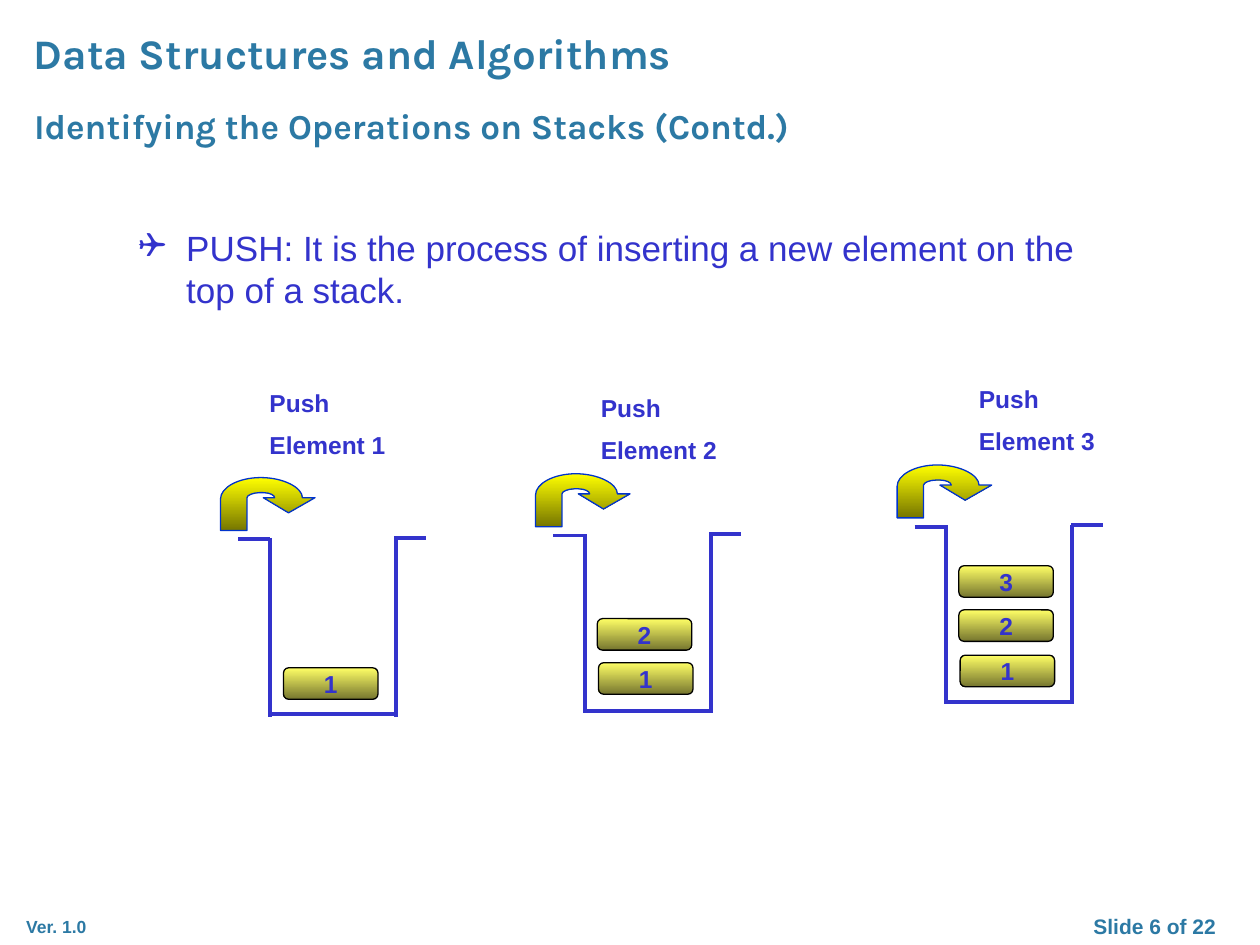
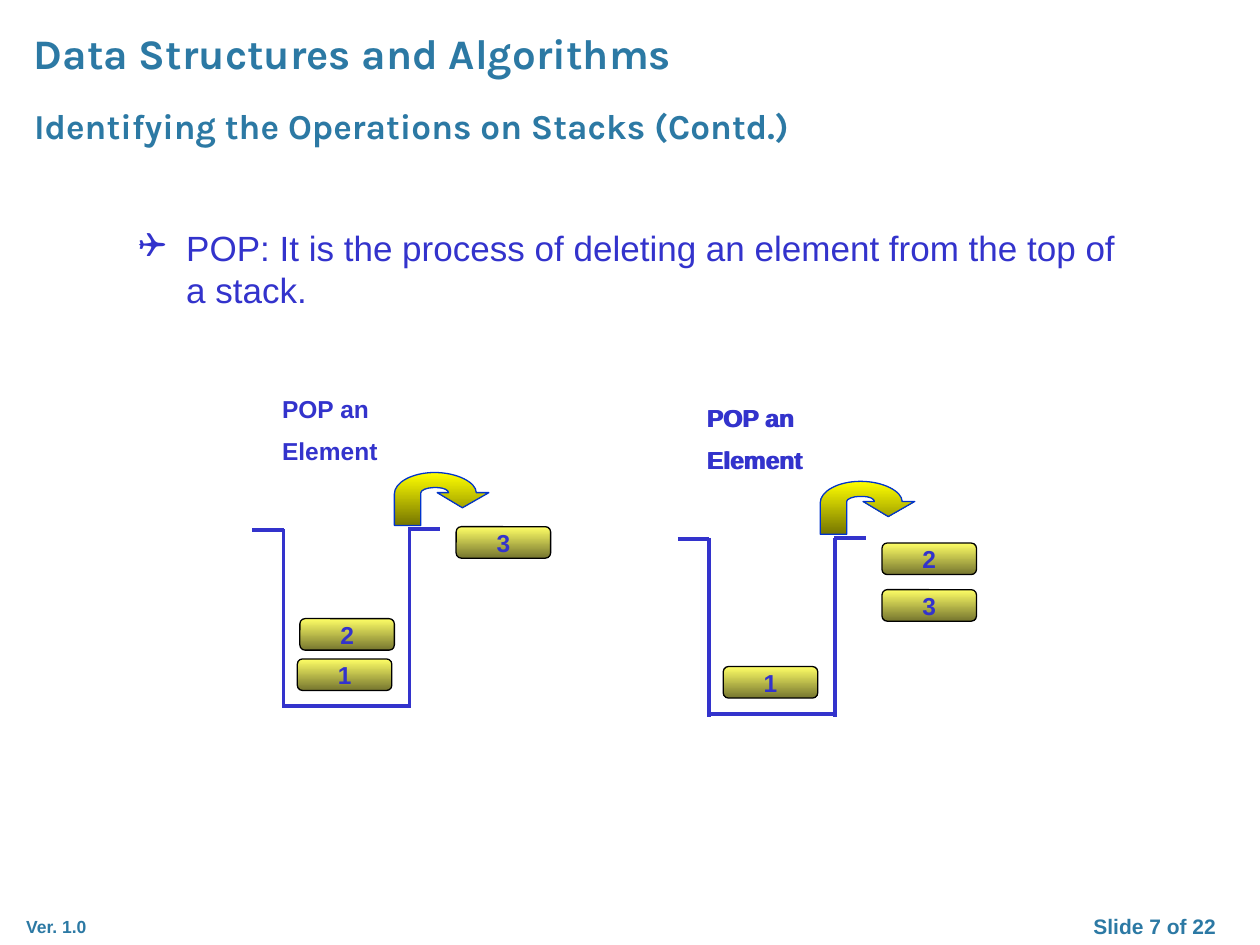
from lxml import etree
from pptx import Presentation
from pptx.dml.color import RGBColor
from pptx.enum.shapes import MSO_CONNECTOR, MSO_SHAPE
from pptx.enum.text import MSO_ANCHOR, MSO_AUTO_SIZE, PP_ALIGN
from pptx.oxml.ns import qn
from pptx.util import Inches, Pt

LEFT, CENTER = PP_ALIGN.LEFT, PP_ALIGN.CENTER
TOP, MIDDLE = MSO_ANCHOR.TOP, MSO_ANCHOR.MIDDLE
STRAIGHT = MSO_CONNECTOR.STRAIGHT
ROUNDED = MSO_SHAPE.ROUNDED_RECTANGLE
NO_FIT, GROW = MSO_AUTO_SIZE.NONE, MSO_AUTO_SIZE.SHAPE_TO_FIT_TEXT

TEAL, BLUE = "2C79A4", "3333CC"
ELEMENT_GRADIENT = ("FFFF66", "76762F")
ARROW_GRADIENT = ("FFFF00", "767600")
ELEMENT_LINE, ARROW_LINE = "000000", "0033CC"

COURSE = "Data Structures and Algorithms"
TITLE = "Identifying the Operations on Stacks (Contd.)"
VERSION = "Ver. 1.0"
SLIDE_TOTAL = 22
PUSH_LABEL = "Push\nElement {}"
POP_LABEL = "POP an\nElement"

# stack: left and top of its left wall; labels: text, left, top;
# elements: number, left, top
SLIDES = [
    {
        "number": 6,
        "definition": "PUSH: It is the process of inserting a new element on the top of a stack.",
        "arrow_offset": (-0.39, -0.48),
        "steps": [
            {"stack": (2.14, 4.27), "labels": [(PUSH_LABEL.format(1), 2.04, 3.03)],
             "elements": [("1", 2.25, 5.3)]},
            {"stack": (4.64, 4.24), "labels": [(PUSH_LABEL.format(2), 4.67, 3.07)],
             "elements": [("1", 4.75, 5.26), ("2", 4.74, 4.91)]},
            {"stack": (7.51, 4.17), "labels": [(PUSH_LABEL.format(3), 7.67, 3)],
             "elements": [("1", 7.62, 5.2), ("2", 7.61, 4.84), ("3", 7.61, 4.49)]},
        ],
    },
    {
        "number": 7,
        "definition": "POP: It is the process of deleting an element from the top of a stack.",
        "arrow_offset": (0.88, -0.45),
        "steps": [
            {"stack": (2.25, 4.2), "labels": [(POP_LABEL, 2.14, 3.08)],
             "elements": [("1", 2.36, 5.23), ("2", 2.38, 4.91), ("3", 3.62, 4.18)]},
            {"stack": (5.63, 4.27),
             "labels": [(POP_LABEL, 5.52, 3.15), (POP_LABEL, 5.51, 3.15)],
             "elements": [("1", 5.74, 5.29), ("3", 7, 4.68), ("2", 7, 4.31)]},
        ],
    },
]

# Lines of a stack, relative to the top of its left wall
STACK_LINES = [
    (-0.25, 0.01, 0, 0.01),
    (0, 0, 0, 1.42),
    (0.01, 1.4, 1.01, 1.4),
    (1, 0, 1, 1.42),
    (0.99, 0, 1.24, 0),
]

# Arrow outline: one point is a line end, three are a Bezier curve
ARROW_START = (0.54, 0.28)
ARROW_OUTLINE = [
    [(0.75, 0.16)],
    [(0.65, 0.16)],
    [(0.65, 0.08), (0.5, 0), (0.32, 0)],
    [(0.14, 0), (0, 0.08), (0, 0.17)],
    [(0, 0.42)],
    [(0.21, 0.42)],
    [(0.21, 0.16)],
    [(0.21, 0.14), (0.26, 0.12), (0.31, 0.12)],
    [(0.34, 0.12)],
    [(0.39, 0.12), (0.43, 0.14), (0.43, 0.16)],
    [(0.34, 0.16)],
    [ARROW_START],
]


def rgb(color):
    return RGBColor.from_string(color)


def set_text(shape, text, size, color, font="Arial", bold=True, align=LEFT,
             anchor=TOP, fit=NO_FIT):
    tf = shape.text_frame
    tf.text = text
    tf.word_wrap = True
    tf.auto_size = fit
    tf.vertical_anchor = anchor
    for i, p in enumerate(tf.paragraphs):
        p.alignment = align
        p.space_before = Pt(size / 2 if i else 0)
        for r in p.runs:
            r.font.name = font
            r.font.size = Pt(size)
            r.font.bold = bold
            r.font.color.rgb = rgb(color)


def add_text(s, box, text, size, color, fit=GROW, **style):
    shape = s.shapes.add_textbox(*map(Inches, box))
    set_text(shape, text, size, color, fit=fit, **style)
    return shape


def add_bullet(p, char, indent):
    pPr = p._p.get_or_add_pPr()
    pPr.set("marL", str(Inches(indent)))
    pPr.set("indent", str(-Inches(indent)))
    etree.SubElement(pPr, qn("a:buFont")).set("typeface", "Wingdings")
    etree.SubElement(pPr, qn("a:buChar")).set("char", char)


def paint(shape, gradient, line):
    """Fill from top to bottom with two colours and draw a thin outline."""
    shape.shadow.inherit = False
    shape.fill.gradient()
    shape.fill.gradient_angle = 270
    for stop, color, position in zip(shape.fill.gradient_stops, gradient, (0, 1)):
        stop.color.rgb = rgb(color)
        stop.position = position
    shape.line.color.rgb = rgb(line)
    shape.line.width = Pt(0.75)


def bend_segments(shape, outline):
    """Turn each run of three line ends into one Bezier curve."""
    lines = iter(list(shape._element.iter(qn("a:lnTo"))))
    for segment in outline:
        first, *others = [next(lines) for _ in segment]
        if others:
            first.tag = qn("a:cubicBezTo")
            for line in others:
                first.append(line[0])
                line.getparent().remove(line)


def add_arrow(s, left, top):
    points = [ARROW_START] + [point for segment in ARROW_OUTLINE for point in segment]
    start, *rest = [(Inches(left + x), Inches(top + y)) for x, y in points]
    builder = s.shapes.build_freeform(*start)
    builder.add_line_segments(rest, close=True)
    arrow = builder.convert_to_shape()
    paint(arrow, ARROW_GRADIENT, ARROW_LINE)
    # lxml cannot rename typed elements, so the curves are built from new ones
    curve_outline(arrow)


def curve_outline(arrow):
    """Replace the line ends of each curve by one Bezier segment."""
    lines = iter(list(arrow._element.iter(qn("a:lnTo"))))
    for segment in ARROW_OUTLINE:
        ends = [next(lines) for _ in segment]
        if len(ends) == 3:
            curve = etree.Element(qn("a:cubicBezTo"))
            ends[0].addprevious(curve)
            for end in ends:
                curve.append(end[0])
                end.getparent().remove(end)


def add_stack(s, left, top):
    for x1, y1, x2, y2 in STACK_LINES:
        ends = (left + x1, top + y1, left + x2, top + y2)
        line = s.shapes.add_connector(STRAIGHT, *map(Inches, ends))
        line.line.color.rgb = rgb(BLUE)
        line.line.width = Pt(2.25)
        etree.SubElement(line._element.spPr, qn("a:effectLst"))


def add_element(s, number, left, top):
    shape = s.shapes.add_shape(ROUNDED, *map(Inches, (left, top, 0.75, 0.25)))
    paint(shape, ELEMENT_GRADIENT, ELEMENT_LINE)
    set_text(shape, number, 14, BLUE, align=CENTER, anchor=MIDDLE)
    shape.text_frame.word_wrap = False


def add_frame(s, number):
    """Course name, slide title and footers."""
    add_text(s, (0.17, 0.17, 8.33, 1.11), COURSE, 24, TEAL, font="Karla")
    title = s.shapes.title
    title.left, title.top, title.width, title.height = map(Inches, (0.17, 0.78, 7.5, 0.43))
    set_text(title, TITLE, 20, TEAL, font="Karla", fit=GROW)
    add_text(s, (0.11, 7.22, 0.79, 0.27), VERSION, 10, TEAL)
    add_text(s, (8.33, 7.2, 1.67, 0.3), f"Slide {number} of {SLIDE_TOTAL}", 12, TEAL,
             align=CENTER)


def add_step(s, step, arrow_offset):
    left, top = step["stack"]
    add_stack(s, left, top)
    add_arrow(s, left + arrow_offset[0], top + arrow_offset[1])
    for text, label_left, label_top in step["labels"]:
        add_text(s, (label_left, label_top, 1.25, 0.69), text, 14, BLUE)
    for element in step["elements"]:
        add_element(s, *element)


def main():
    prs = Presentation()
    prs.slide_width, prs.slide_height = Inches(10), Inches(7.5)
    for content in SLIDES:
        s = prs.slides.add_slide(prs.slide_layouts[5])
        add_frame(s, content["number"])
        body = add_text(s, (1, 1.75, 8, 5), content["definition"], 20, BLUE,
                        fit=NO_FIT, bold=False)
        add_bullet(body.text_frame.paragraphs[0], "❑", 0.38)
        for step in content["steps"]:
            add_step(s, step, content["arrow_offset"])
    prs.save("out.pptx")


if __name__ == "__main__":
    main()
